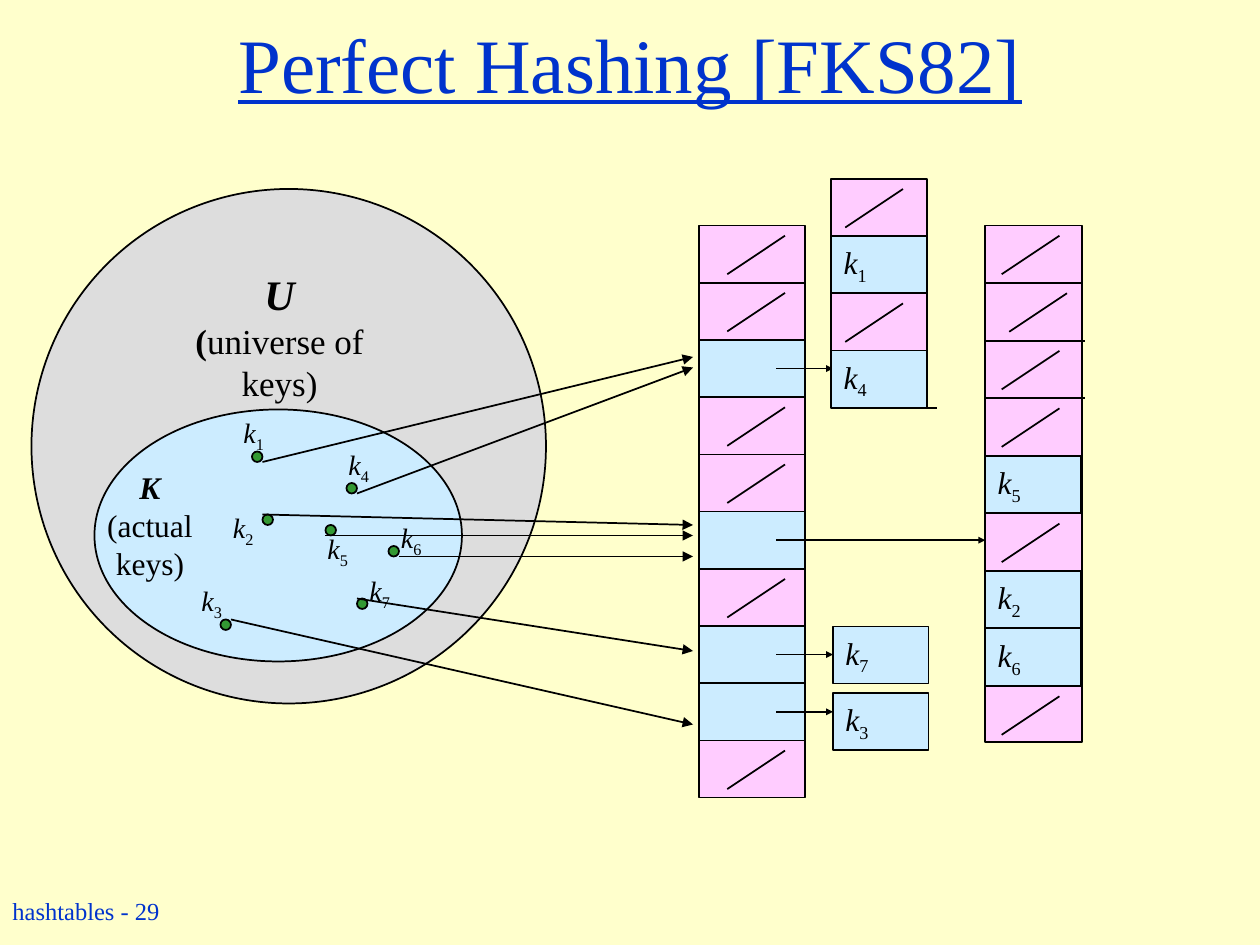
from dataclasses import dataclass

import pptx
import pptx.dml.color
import pptx.enum.shapes
import pptx.enum.text
import pptx.oxml
import pptx.oxml.ns
import pptx.util

Pt = pptx.util.Pt
ALIGN = pptx.enum.text.PP_ALIGN
ANCHOR = pptx.enum.text.MSO_ANCHOR
SHAPE = pptx.enum.shapes.MSO_SHAPE


@dataclass(frozen=True)
class Theme:
    font: str = "Times New Roman"
    background: str = "FFFFCC"
    accent: str = "0033CC"
    ink: str = "000000"
    universe: str = "DDDDDD"
    full: str = "CCECFF"
    empty: str = "FFCCFF"
    dot: str = "339933"
    title: int = 44
    universe_name: int = 24
    universe_note: int = 20
    body: int = 18
    label: int = 16
    footer: int = 14


@dataclass(frozen=True)
class Key:
    number: int
    dot: tuple[float, float]
    label: tuple[float, float]
    start: tuple[float, float]
    end_y: float


@dataclass(frozen=True)
class Table:
    left: float
    top: float
    width: float
    height: float
    pitch: float
    dividers: dict[int, float]  # row -> overhang on the right
    slashes: dict[int, float]   # row -> inset from the left
    full: dict[int, int | None]  # row -> key number, if written


T = Theme()
DOT = 6
CELL_W, CELL_H = 54.7, 32.7
SLASH_W, SLASH_H, SLASH_TOP = 33, 22, 5.8

KEYS = [
    Key(1, (144, 258), (132, 234), (150, 264), 204),
    Key(4, (198, 276), (192, 252), (204, 282), 210),
    Key(2, (150, 294), (126, 288), (150, 294), 300),
    Key(5, (186, 300), (180, 300), (186, 306), 306),
    Key(6, (222, 312), (222, 294), (228, 318), 318),
    Key(7, (204, 342), (204, 324), (204, 342), 372),
    Key(3, (126, 354), (108, 330), (132, 354), 414),
]

MAIN = Table(399.6, 128.9, 60.5, 326.9, 32.69,
             {row: 0 for row in range(1, 10)},
             {row: 16 for row in (0, 1, 3, 4, 6, 9)},
             {row: None for row in (2, 5, 7, 8)})
SMALL = Table(475, 102.2, CELL_W, 129.6, 32.7,
              {4: 5.8}, {0: 8, 2: 8}, {3: 4, 1: 1})
LARGE = Table(563, 128.9, 55.4, 295.2, 32.9,
              {1: 0, 2: 1.5, 3: 1.5},
              {0: 9.4, 1: 13.7, 2: 9.4, 3: 9.4, 5: 9.4, 8: 9.4},
              {4: 5, 6: 2, 7: 6})

prs = pptx.Presentation()
prs.slide_width, prs.slide_height = Pt(720), Pt(540)
s = prs.slides.add_slide(prs.slide_layouts[6])


def rgb(value: str) -> pptx.dml.color.RGBColor:
    return pptx.dml.color.RGBColor.from_string(value)


def add_run(p, text: str, size: float, color: str = T.ink, bold: bool = False,
            italic: bool = False, underline: bool = False):
    r = p.add_run()
    r.text = text
    f = r.font
    f.name, f.size, f.bold, f.italic, f.underline = (
        T.font, Pt(size), bold, italic, underline)
    f.color.rgb = rgb(color)
    return r


def add_key_name(p, number: int, size: float) -> None:
    add_run(p, "k", size, italic=True)
    r = add_run(p, str(number), size)
    r.font._element.set("baseline", "-25000")


def add_text(left: float, top: float, width: float, height: float,
             wrap: bool = False):
    sp = s.shapes.add_textbox(Pt(left), Pt(top), Pt(width), Pt(height))
    sp.text_frame.word_wrap = wrap
    return sp.text_frame


def add_outlined(kind, left: float, top: float, width: float, height: float,
                 fill: str):
    sp = s.shapes.add_shape(kind, Pt(left), Pt(top), Pt(width), Pt(height))
    sp.shadow.inherit = False
    sp.fill.solid()
    sp.fill.fore_color.rgb = rgb(fill)
    sp.line.color.rgb = rgb(T.ink)
    sp.line.width = Pt(1)
    return sp


def add_line(x1: float, y1: float, x2: float, y2: float,
             head: str | None = None) -> None:
    sp = s.shapes.add_connector(pptx.enum.shapes.MSO_CONNECTOR.STRAIGHT,
                                Pt(x1), Pt(y1), Pt(x2), Pt(y2))
    sp.line.color.rgb = rgb(T.ink)
    sp.line.width = Pt(1)
    if head:
        ns = pptx.oxml.ns.nsdecls("a")
        sp.line._get_or_add_ln().append(pptx.oxml.parse_xml(
            f'<a:tailEnd {ns} type="triangle" w="{head}" len="{head}"/>'))
    sp._element.spPr.append(pptx.oxml.parse_xml(
        f'<a:effectLst {pptx.oxml.ns.nsdecls("a")}/>'))


def add_cell(left: float, top: float, width: float,
             number: int | None = None) -> None:
    sp = add_outlined(SHAPE.RECTANGLE, left, top, width, CELL_H, T.full)
    if number is not None:
        tf = sp.text_frame
        tf.word_wrap = False
        tf.vertical_anchor = ANCHOR.MIDDLE
        tf.paragraphs[0].alignment = ALIGN.LEFT
        add_key_name(tf.paragraphs[0], number, T.body)


def add_hash_table(t: Table) -> None:
    add_outlined(SHAPE.RECTANGLE, t.left, t.top, t.width, t.height, T.empty)
    for row, overhang in t.dividers.items():
        y = t.top + row * t.pitch
        add_line(t.left, y, t.left + t.width + overhang, y)
    for row, inset in t.slashes.items():
        x, y = t.left + inset, t.top + row * t.pitch + SLASH_TOP
        add_line(x + SLASH_W, y, x, y + SLASH_H)
    for row, number in t.full.items():
        width = t.width if number is None else CELL_W
        add_cell(t.left, t.top + row * t.pitch, width, number)


# Background, footer and title
s.background.fill.solid()
s.background.fill.fore_color.rgb = rgb(T.background)
tf = add_text(0, 508.3, 101, 23.8)
add_run(tf.paragraphs[0], "hashtables - 29", T.footer, T.accent)
tf = add_text(0, 0, 720, 72, wrap=True)
tf.vertical_anchor = ANCHOR.MIDDLE
tf.paragraphs[0].alignment = ALIGN.CENTER
add_run(tf.paragraphs[0], "Perfect Hashing [FKS82]", T.title, T.accent,
        underline=True)

# Universe and actual keys
add_outlined(SHAPE.OVAL, 18, 108, 294, 294, T.universe)
add_outlined(SHAPE.OVAL, 54, 234, 210, 144, T.full)

tf = add_text(80.6, 150, 158.4, 60, wrap=True)
tf.margin_left = tf.margin_right = Pt(15)
name, note = tf.paragraphs[0], tf.add_paragraph()
name.alignment = note.alignment = ALIGN.CENTER
add_run(name, "U", T.universe_name, bold=True, italic=True)
add_run(note, "(", T.universe_note, bold=True)
add_run(note, "universe of keys)", T.universe_note)

tf = add_text(54, 264, 63.4, 72)
for i, line in enumerate(("K", "(actual", "keys)")):
    p = tf.add_paragraph() if i else tf.paragraphs[0]
    p.alignment = ALIGN.CENTER
    add_run(p, line, T.body, bold=i == 0, italic=i == 0)

# Keys and their hash arrows
for key in KEYS:
    add_outlined(SHAPE.OVAL, *key.dot, DOT, DOT, T.dot)
    add_key_name(add_text(*key.label, 27.4, 26.6).paragraphs[0],
                 key.number, T.label)
for key in KEYS:
    add_line(*key.start, 396, key.end_y, head="med")

# First-level table, its pointers and the second-level tables
add_hash_table(MAIN)
for row, target in ((2, 476), (5, LARGE.left), (7, 476), (8, 476)):
    y = MAIN.top + (row + 0.5) * MAIN.pitch
    add_line(443.5, y, target, y, head="sm")
add_cell(476, 358, CELL_W, 7)
add_cell(476, 396, CELL_W, 3)
add_hash_table(SMALL)
add_hash_table(LARGE)

prs.save("out.pptx")
